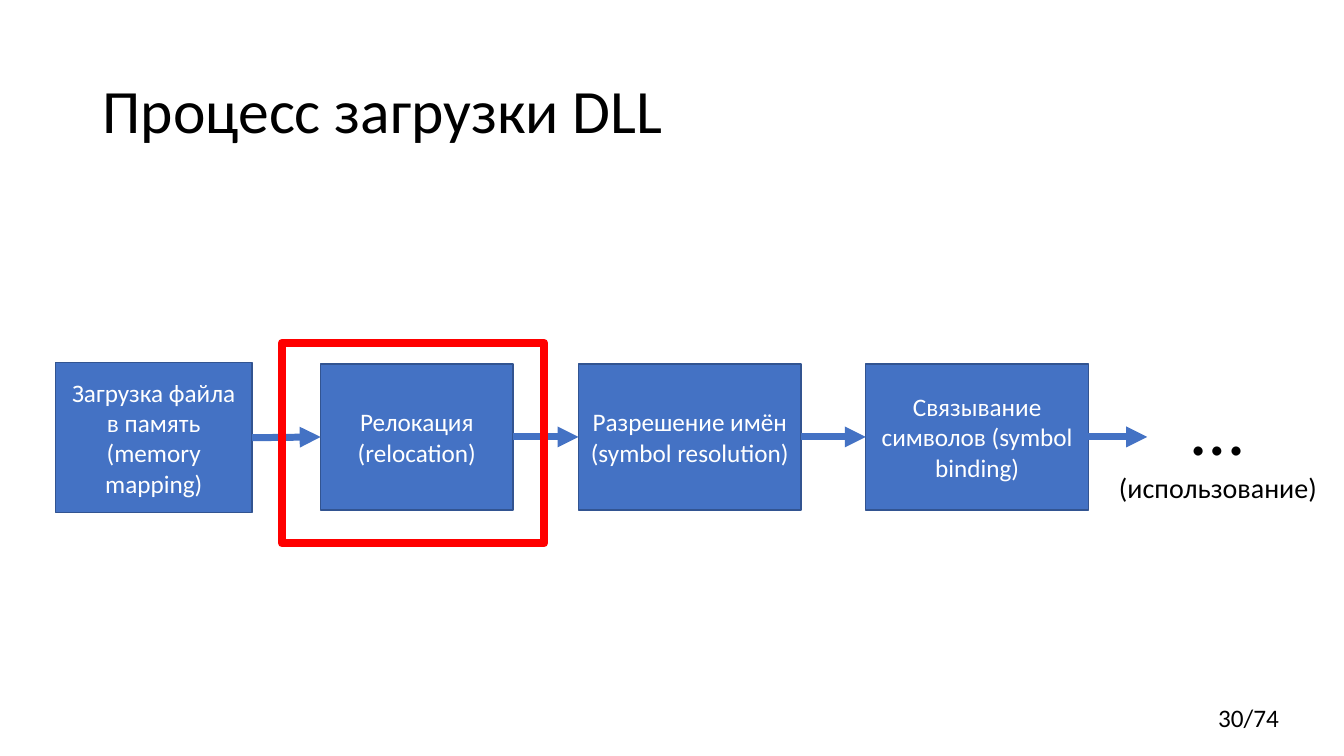
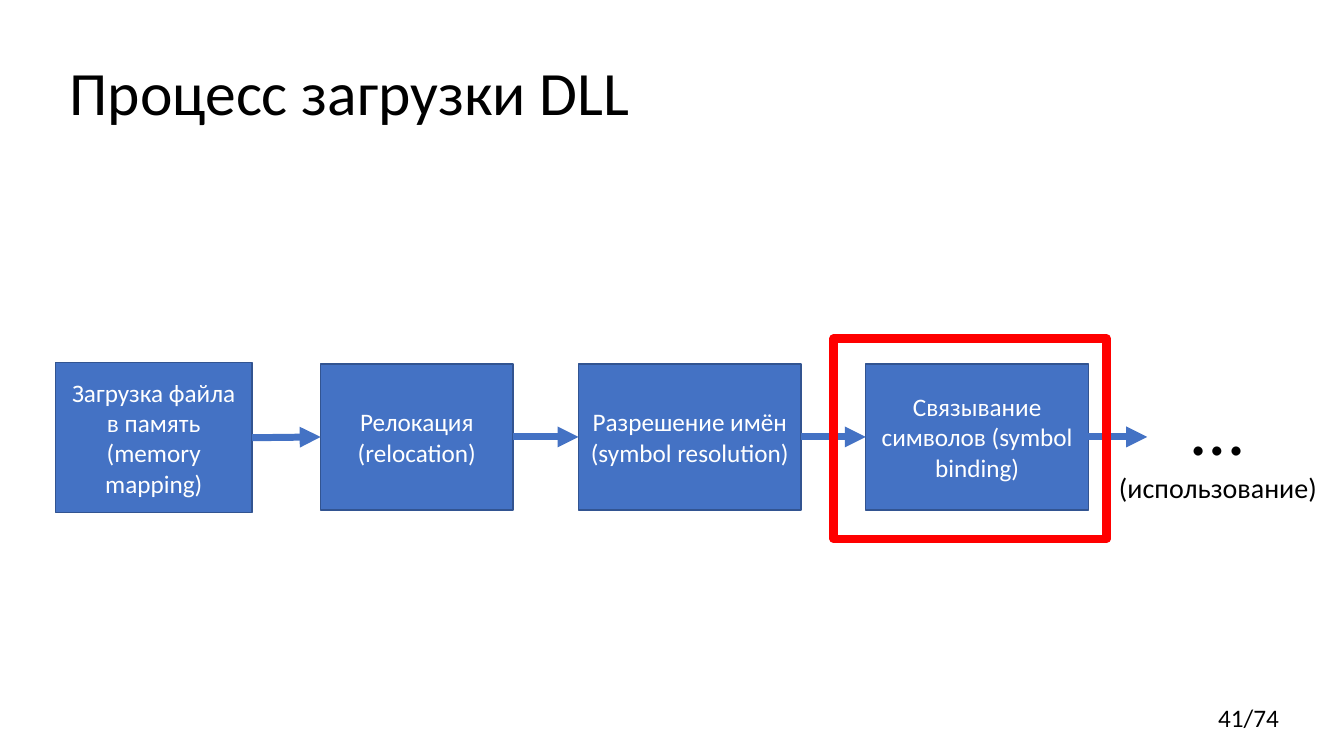
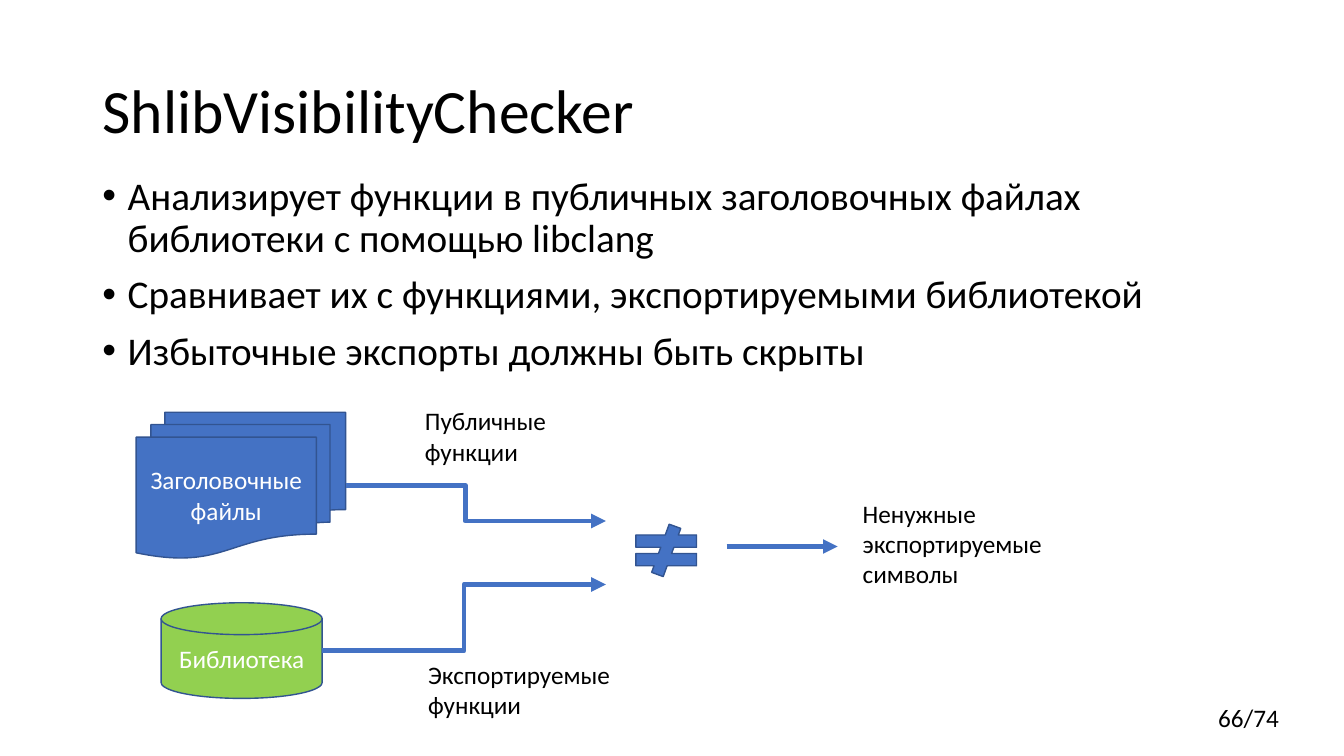
from dataclasses import dataclass

from lxml.etree import SubElement
from pptx import Presentation
from pptx.dml.color import RGBColor
from pptx.enum.shapes import MSO_CONNECTOR as Link, MSO_SHAPE as Preset
from pptx.enum.text import MSO_ANCHOR as Anchor, MSO_AUTO_SIZE as AutoSize, PP_ALIGN as Align
from pptx.oxml.ns import qn
from pptx.util import Cm, Pt

COLORS = {
    "text": "000000",
    "light": "FFFFFF",
    "blue": "4472C4",
    "outline": "325491",
    "green": "92D050",
    "highlight": "FF0000",
}
FONT = "Calibri"
PAGE_COUNT = 74


@dataclass
class Box:
    """A rectangle on the slide, in centimetres."""
    left: float
    top: float
    width: float
    height: float

    def inner(self, left, top, width, height):
        """A rectangle placed from this one's top left corner."""
        return Box(self.left + left, self.top + top, width, height)

    def point(self, left, top):
        return self.left + left, self.top + top

    def lengths(self):
        return [Cm(value) for value in (self.left, self.top, self.width, self.height)]

    @property
    def right(self):
        return self.left + self.width

    @property
    def middle(self):
        return self.top + self.height / 2


TITLE = Box(2.33, 1.01, 29.21, 3.68)
RAISED_TITLE = Box(1.5, 0.56, 29.21, 3.68)
PAGE_NUMBER = Box(30.45, 17.58, 4.7, 1.02)
PIPELINE = Box(1.4, 9.14, 32.1, 3.78)
BULLETS = Box(2.33, 4.32, 29.21, 5.5)
DIAGRAM = Box(3.43, 10.1, 23.34, 8.18)

STAGES = [
    ("Загрузка файла в память (memory mapping)", (0, 0, 4.95, 3.78)),
    ("Релокация\n(relocation)", (6.68, 0.03, 4.85, 3.68)),
    ("Разрешение имён (symbol resolution)", (13.18, 0.03, 5.61, 3.68)),
    ("Связывание символов (symbol binding)", (20.42, 0.03, 5.61, 3.68)),
]


def rgb(name):
    return RGBColor.from_string(COLORS[name])


def write(frame, text, size=18, color="text", align=Align.LEFT, anchor=Anchor.TOP,
          spacing=None, before=None, bullet=None):
    """Fill a text frame, one paragraph for each line of text."""
    frame.word_wrap = True
    frame.auto_size = AutoSize.NONE
    frame.vertical_anchor = anchor
    frame.text = text
    for para in frame.paragraphs:
        para.alignment = align
        if spacing:
            para.line_spacing = spacing
        if before:
            para.space_before = Pt(before)
        if bullet:
            props = para._p.get_or_add_pPr()
            props.set("marL", str(Cm(0.64)))
            props.set("indent", str(-Cm(0.64)))
            SubElement(props, qn("a:buFont"), typeface="Arial")
            SubElement(props, qn("a:buChar"), char=bullet)
        for span in para.runs:
            span.font.name = FONT
            span.font.size = Pt(size)
            span.font.color.rgb = rgb(color)


def add_text(page, box, text, **style):
    frame = page.shapes.add_textbox(*box.lengths()).text_frame
    write(frame, text, **style)
    return frame


def add_figure(page, box, preset, text="", fill="blue", line="outline", width=1):
    shape = page.shapes.add_shape(preset, *box.lengths())
    shape.shadow.inherit = False
    if fill:
        shape.fill.solid()
        shape.fill.fore_color.rgb = rgb(fill)
    else:
        shape.fill.background()
    shape.line.color.rgb = rgb(line)
    shape.line.width = Pt(width)
    if text:
        write(shape.text_frame, text, color="light", align=Align.CENTER, anchor=Anchor.MIDDLE)


def add_arrow(page, start, end, kind=Link.STRAIGHT, width=3.5, bend=None):
    """Draw an arrow; bend is the share of its width where an elbow turns."""
    arrow = page.shapes.add_connector(kind, *(Cm(value) for value in (*start, *end)))
    arrow.line.color.rgb = rgb("blue")
    arrow.line.width = Pt(width)
    props = arrow._element.spPr
    SubElement(props.find(qn("a:ln")), qn("a:tailEnd"), type="triangle")
    SubElement(props, qn("a:effectLst"))
    if bend:
        guides = props.find(qn("a:prstGeom")).find(qn("a:avLst"))
        SubElement(guides, qn("a:gd"), name="adj1", fmla=f"val {round(bend * 100000)}")


def add_page(deck, title, number, box=TITLE):
    page = deck.slides.add_slide(deck.slide_layouts[5])
    heading = page.shapes.title
    heading.left, heading.top, heading.width, heading.height = box.lengths()
    write(heading.text_frame, title, size=44, anchor=Anchor.MIDDLE, spacing=0.9)
    add_text(page, PAGE_NUMBER, f"{number}/{PAGE_COUNT}")
    return page


def add_pipeline(page, box):
    stages = [box.inner(*place) for _, place in STAGES]
    for (text, _), stage in zip(STAGES, stages):
        add_figure(page, stage, Preset.RECTANGLE, text)
    level = stages[-1].middle
    targets = [stage.left for stage in stages[1:]] + [box.left + 27.51]
    for stage, target in zip(stages, targets):
        add_arrow(page, (stage.right, stage.middle), (target, level), width=5)
    frame = add_text(page, box.inner(26.49, 0.31, 5.61, 3.43), "…\n(использование)",
                     size=20, align=Align.CENTER)
    frame.paragraphs[0].runs[0].font.size = Pt(54)


def add_loading_page(deck, number, title_box, highlight):
    page = add_page(deck, "Процесс загрузки DLL", number, title_box)
    add_pipeline(page, PIPELINE)
    add_figure(page, highlight, Preset.RECTANGLE, fill=None, line="highlight", width=6)


def add_comparison(page, box):
    """Headers and library flow into a not-equal sign, then into the result."""
    add_figure(page, box.inner(0, 0.29, 5.28, 3.68), Preset.FLOWCHART_MULTIDOCUMENT,
               "Заголовочные файлы")
    add_figure(page, box.inner(0.63, 5.09, 4.06, 2.41), Preset.FLOWCHART_MAGNETIC_DISK,
               "Библиотека", fill="green")
    add_arrow(page, box.point(4.69, 6.3), box.point(11.84, 4.63), Link.ELBOW)
    add_arrow(page, box.point(5.28, 2.13), box.point(11.84, 3.03), Link.ELBOW, bend=0.46)
    add_figure(page, box.inner(12.32, 3.11, 2.08, 1.32), Preset.MATH_NOT_EQUAL)
    add_arrow(page, box.point(14.88, 3.67), box.point(17.68, 3.67))
    for text, left, top, height in [
        ("Публичные функции", 7.03, 0, 1.8),
        ("Экспортируемые функции", 7.11, 6.38, 1.8),
        ("Ненужные экспортируемые символы", 18.06, 2.32, 2.57),
    ]:
        add_text(page, box.inner(left, top, 5.28, height), text)


def add_checker_page(deck, number):
    page = add_page(deck, "ShlibVisibilityChecker", number)
    add_text(page, BULLETS, "\n".join([
        "Анализирует функции в публичных заголовочных файлах библиотеки с помощью libclang",
        "Сравнивает их с функциями, экспортируемыми библиотекой",
        "Избыточные экспорты должны быть скрыты",
    ]), size=28, spacing=0.9, before=10, bullet="•")
    add_comparison(page, DIAGRAM)


def main():
    deck = Presentation()
    deck.slide_width, deck.slide_height = Cm(33.87), Cm(19.05)
    add_loading_page(deck, 30, TITLE, Box(7.11, 8.64, 6.6, 5.05))
    add_loading_page(deck, 41, RAISED_TITLE, Box(21.01, 8.53, 6.88, 5.05))
    add_checker_page(deck, 66)
    deck.save("out.pptx")


if __name__ == "__main__":
    main()
